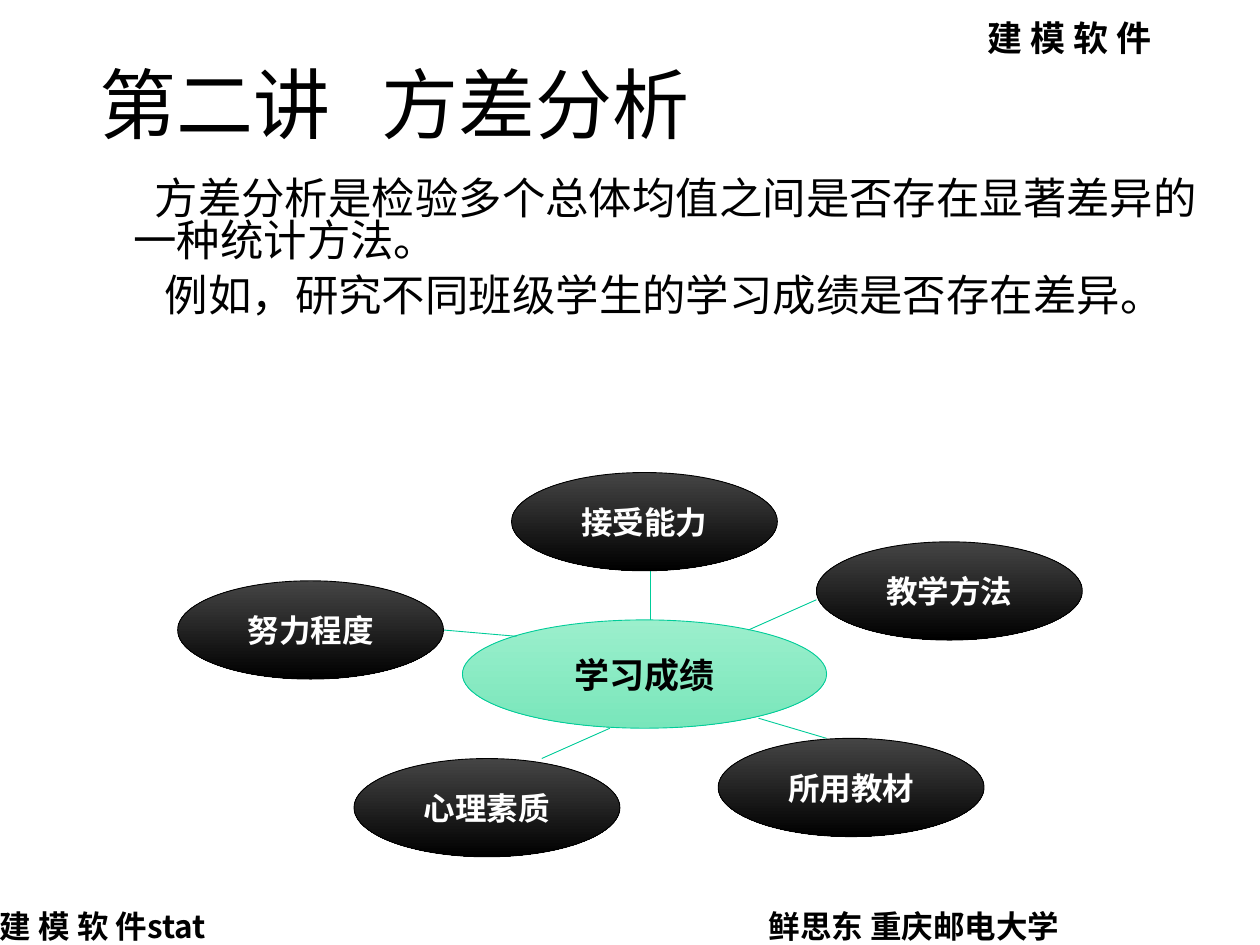
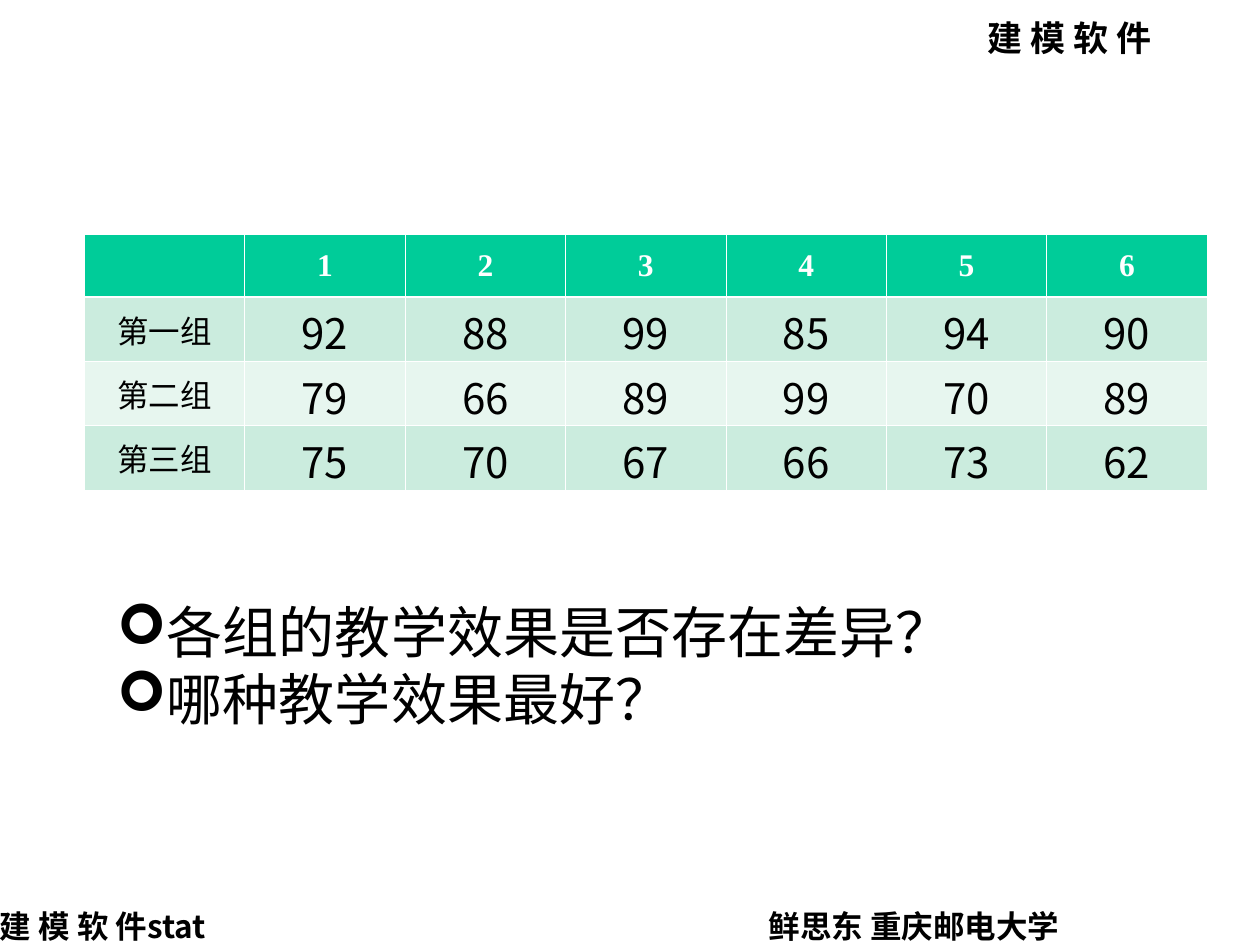
"""Build two slides introducing analysis of variance."""
from dataclasses import dataclass
from typing import Any, NamedTuple

import pptx
import pptx.dml.color
import pptx.enum.shapes
import pptx.enum.text
import pptx.oxml
import pptx.oxml.ns
import pptx.util
from pptx.util import Inches

ALIGN = pptx.enum.text.PP_ALIGN
ANCHOR = pptx.enum.text.MSO_ANCHOR


@dataclass(frozen=True)
class Theme:
    black: str = "000000"
    white: str = "FFFFFF"
    green: str = "00CC99"
    core_gradient: tuple[str, str] = ("9BEFCC", "79E6BB")
    factor_gradient: tuple[str, str] = ("454545", "000000")
    row_bands: tuple[str, str] = ("CBECDE", "E7F6EF")
    serif: str = "Times New Roman"
    sans: str = "Cabin"
    cjk: str = "Noto Sans CJK SC"
    cjk_footer: str = "Noto Sans CJK JP"
    bullet: str = "Wingdings"
    title: float = 44
    question: float = 32
    body: float = 24.8
    score: float = 24
    core: float = 20
    label: float = 18
    hairline: float = 0.5
    grid: float = 0.45
    header_rule: float = 1.47


THEME = Theme()


class Box(NamedTuple):
    left: float
    top: float
    width: float
    height: float


class Type(NamedTuple):
    size: float
    latin: str
    east_asian: str
    color: str = THEME.black
    bold: bool = False


class Band(NamedTuple):
    text: str
    box: Box
    style: Type
    fill: str = ""


class Factor(NamedTuple):
    text: str
    left: float
    top: float


class Link(NamedTuple):
    start: tuple[float, float]
    end: tuple[float, float]


CORE_TYPE = Type(THEME.core, THEME.serif, THEME.cjk, bold=True)
FACTOR_TYPE = Type(THEME.label, THEME.serif, THEME.cjk, THEME.white, True)
LABEL_TYPE = Type(THEME.label, THEME.serif, THEME.cjk)
SCORE_TYPE = Type(THEME.score, THEME.cjk, THEME.cjk)
TITLE_TYPE = Type(THEME.title, THEME.serif, THEME.sans)
BODY_TYPE = Type(THEME.body, THEME.sans, THEME.sans)
QUESTION_TYPE = Type(THEME.question, THEME.sans, THEME.sans)

BANDS = [
    Band("建 模 软 件", Box(7.84, 0.13, 1.49, 0.33),
         Type(THEME.core, THEME.cjk, THEME.cjk, bold=True), THEME.white),
    Band("建 模 软 件stat", Box(0, 7.2, 1.77, 0.3),
         Type(THEME.label, THEME.cjk_footer, THEME.cjk_footer, bold=True)),
    Band("鲜思东 重庆邮电大学", Box(6.1, 7.2, 2.87, 0.3),
         Type(THEME.label, THEME.cjk, THEME.cjk, bold=True)),
]
FACTOR_SIZE = (2.11, 0.78)
FACTORS = [
    Factor("教学方法", 6.48, 4.3),
    Factor("接受能力", 4.06, 3.75),
    Factor("心理素质", 2.81, 6.02),
    Factor("努力程度", 1.41, 4.61),
    Factor("所用教材", 5.7, 5.86),
]
LINKS = [
    Link((5.16, 4.53), (5.16, 4.92)),
    Link((6.48, 4.76), (5.94, 5)),
    Link((3.52, 5), (4.1, 5.05)),
    Link((4.84, 5.78), (4.3, 6.02)),
    Link((6.02, 5.7), (6.56, 5.86)),
]
DEFINITION = [
    ("方差分析是检验多个总体均值之间是否存在显著差异的一种统计方法。", 0.17),
    ("例如，研究不同班级学生的学习成绩是否存在差异。", 0.25),
]
SCORES = {
    "第一组": (92, 88, 99, 85, 94, 90),
    "第二组": (79, 66, 89, 99, 70, 89),
    "第三组": (75, 70, 67, 66, 73, 62),
}
QUESTIONS = ["各组的教学效果是否存在差异？", "哪种教学效果最好？"]


def rgb(color: str) -> pptx.dml.color.RGBColor:
    """Turn a hex string into a colour."""
    return pptx.dml.color.RGBColor.from_string(color)


def inches(values: tuple) -> list:
    """Convert plain numbers to lengths."""
    return [Inches(value) for value in values]


def apply(target: Any, formats: dict[str, Any]) -> None:
    """Set each named attribute on the target."""
    for attribute, value in formats.items():
        setattr(target, attribute, value)


def child(parent: Any, tag: str, **attributes: str) -> Any:
    """Append a drawing element to its parent."""
    element = pptx.oxml.parse_xml(f'<{tag} {pptx.oxml.ns.nsdecls("a")}/>')
    for key, value in attributes.items():
        element.set(key, value)
    parent.append(element)
    return element


def write(paragraph: Any, text: str, style: Type) -> None:
    """Add one styled run to a paragraph."""
    run = paragraph.add_run()
    run.text = text
    apply(run.font, {"size": pptx.util.Pt(style.size), "name": style.latin,
                     "bold": style.bold})
    run.font.color.rgb = rgb(style.color)
    properties = run._r.get_or_add_rPr()
    properties.set("lang", "zh-CN")
    child(properties, "a:ea", typeface=style.east_asian)


def set_frame(frame: Any, side: float, edge: float) -> None:
    """Make a frame wrap from the top with the given insets."""
    apply(frame, {"word_wrap": True, "vertical_anchor": ANCHOR.TOP,
                  "margin_left": Inches(side), "margin_right": Inches(side),
                  "margin_top": Inches(edge), "margin_bottom": Inches(edge)})


def add_text(slide: Any, box: Box) -> Any:
    """Add a wrapping text box and return its frame."""
    frame = slide.shapes.add_textbox(*inches(box)).text_frame
    set_frame(frame, 0.1, 0.05)
    return frame


def add_band(slide: Any, band: Band) -> None:
    """Add a header or footer line, filled where the band has a fill."""
    if band.fill:
        shape = slide.shapes.add_shape(
            pptx.enum.shapes.MSO_SHAPE.RECTANGLE, *inches(band.box))
        shape.shadow.inherit = False
        shape.fill.solid()
        shape.fill.fore_color.rgb = rgb(band.fill)
        shape.line.fill.background()
    else:
        shape = slide.shapes.add_textbox(*inches(band.box))
    set_frame(shape.text_frame, 0, 0)
    line = shape.text_frame.paragraphs[0]
    line.alignment = ALIGN.LEFT
    write(line, band.text, band.style)


def add_slide(deck: Any) -> Any:
    """Add a blank slide with the shared header and footers."""
    slide = deck.slides.add_slide(deck.slide_layouts[6])
    for band in BANDS:
        add_band(slide, band)
    return slide


def add_ellipse(slide: Any, box: Box, text: str, style: Type,
                gradient: tuple[str, str], outline: str) -> None:
    """Add a labelled ellipse with a vertical gradient."""
    ellipse = slide.shapes.add_shape(
        pptx.enum.shapes.MSO_SHAPE.OVAL, *inches(box))
    ellipse.shadow.inherit = False
    ellipse.fill.gradient()
    ellipse.fill.gradient_angle = 270
    for stop, color in zip(ellipse.fill.gradient_stops, gradient):
        stop.color.rgb = rgb(color)
    ellipse.line.color.rgb = rgb(outline)
    ellipse.line.width = pptx.util.Pt(THEME.hairline)
    ellipse.text_frame.vertical_anchor = ANCHOR.MIDDLE
    label = ellipse.text_frame.paragraphs[0]
    label.alignment = ALIGN.CENTER
    write(label, text, style)


def add_link(slide: Any, link: Link) -> None:
    """Add a thin straight connector."""
    connector = slide.shapes.add_connector(
        pptx.enum.shapes.MSO_CONNECTOR.STRAIGHT, *inches(link.start + link.end))
    connector.line.color.rgb = rgb(THEME.green)
    connector.line.width = pptx.util.Pt(THEME.hairline)
    child(connector._element.spPr, "a:effectLst")


def style_cell(cell: Any, fill: str, top: float, bottom: float) -> None:
    """Give a cell white borders, a fill and centred text."""
    cell.vertical_anchor = ANCHOR.MIDDLE
    properties = cell._tc.get_or_add_tcPr()
    for side, width in {"L": THEME.grid, "R": THEME.grid,
                        "T": top, "B": bottom}.items():
        border = child(properties, f"a:ln{side}", w=str(pptx.util.Pt(width)))
        child(child(border, "a:solidFill"), "a:srgbClr", val=THEME.white)
    cell.fill.solid()
    cell.fill.fore_color.rgb = rgb(fill)
    cell.text_frame.paragraphs[0].alignment = ALIGN.CENTER


def add_scores(slide: Any, box: Box) -> None:
    """Add the table of scores by group."""
    rows = [("", *range(1, 7)), *((group, *marks) for group, marks in SCORES.items())]
    table = slide.shapes.add_table(len(rows), len(rows[0]), *inches(box)).table
    for column in table.columns:
        column.width = Inches(box.width / len(rows[0]))
    for r, row in enumerate(rows):
        table.rows[r].height = Inches(0.51 if r else 0.5)
        fill = THEME.row_bands[(r - 1) % 2] if r else THEME.green
        top = THEME.header_rule if r == 1 else THEME.grid
        bottom = THEME.grid if r else THEME.header_rule
        for c, value in enumerate(row):
            cell = table.cell(r, c)
            style_cell(cell, fill, top, bottom)
            style = FACTOR_TYPE
            if r:
                style = SCORE_TYPE if c else LABEL_TYPE
            if r and c:
                apply(cell, {"margin_left": Inches(0.01), "margin_right": Inches(0.01),
                             "margin_top": Inches(0.03), "margin_bottom": 0})
            if value:
                write(cell.text_frame.paragraphs[0], str(value), style)


def build_concept(deck: Any) -> None:
    """Build the definition slide with its factor diagram."""
    slide = add_slide(deck)
    title = add_text(slide, Box(0.69, 0.4, 8.63, 1.45)).paragraphs[0]
    tabs = child(title._p.get_or_add_pPr(), "a:tabLst")
    child(tabs, "a:tab", pos=str(Inches(2.24)), algn="l")
    write(title, "第二讲\t方差分析", TITLE_TYPE)

    frame = add_text(slide, Box(0.59, 1.39, 9.06, 2.44))
    for i, (sentence, indent) in enumerate(DEFINITION):
        paragraph = frame.add_paragraph() if i else frame.paragraphs[0]
        paragraph.line_spacing = 0.8
        if i:
            paragraph.space_before = pptx.util.Pt(8)
        for key, value in {"marL": 0.37, "indent": indent}.items():
            paragraph._p.get_or_add_pPr().set(key, str(Inches(value)))
        write(paragraph, sentence, BODY_TYPE)

    add_ellipse(slide, Box(3.67, 4.92, 2.89, 0.86), "学习成绩", CORE_TYPE,
                THEME.core_gradient, THEME.green)
    for link in LINKS:
        add_link(slide, link)
    for factor in FACTORS:
        add_ellipse(slide, Box(factor.left, factor.top, *FACTOR_SIZE), factor.text,
                    FACTOR_TYPE, THEME.factor_gradient, THEME.black)


def build_example(deck: Any) -> None:
    """Build the slide with the scores and the questions."""
    slide = add_slide(deck)
    add_scores(slide, Box(0.67, 1.86, 8.91, 2.03))
    frame = add_text(slide, Box(0.83, 4.69, 8.91, 1.17))
    for i, question in enumerate(QUESTIONS):
        paragraph = frame.add_paragraph() if i else frame.paragraphs[0]
        properties = paragraph._p.get_or_add_pPr()
        child(child(properties, "a:buClr"), "a:srgbClr", val=THEME.black)
        child(properties, "a:buFont", typeface=THEME.bullet)
        child(properties, "a:buChar", char="➢")
        write(paragraph, question, QUESTION_TYPE)


def main() -> None:
    """Create and save the deck."""
    deck = pptx.Presentation()
    apply(deck, {"slide_width": Inches(10), "slide_height": Inches(7.5)})
    build_concept(deck)
    build_example(deck)
    deck.save("out.pptx")


if __name__ == "__main__":
    main()
